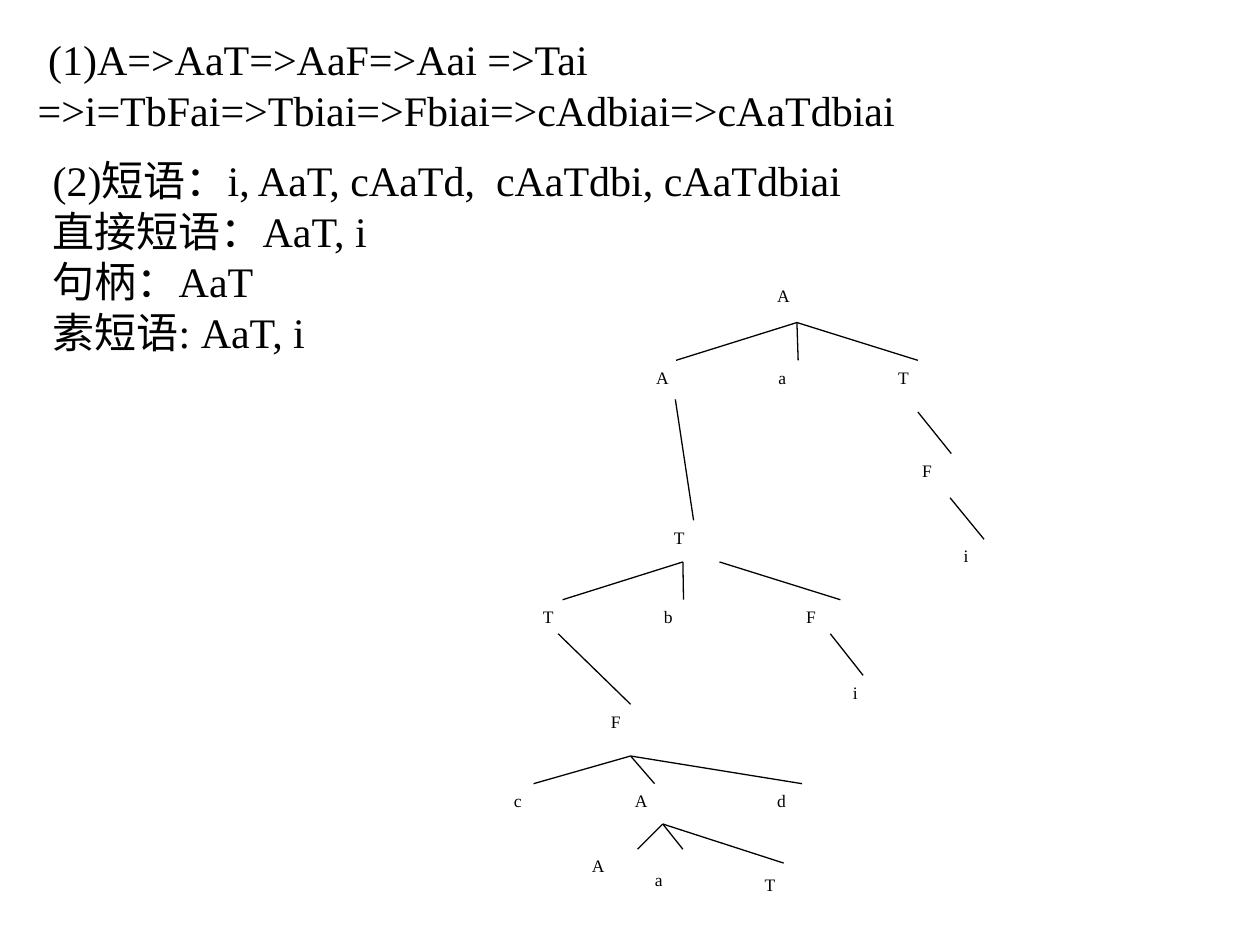
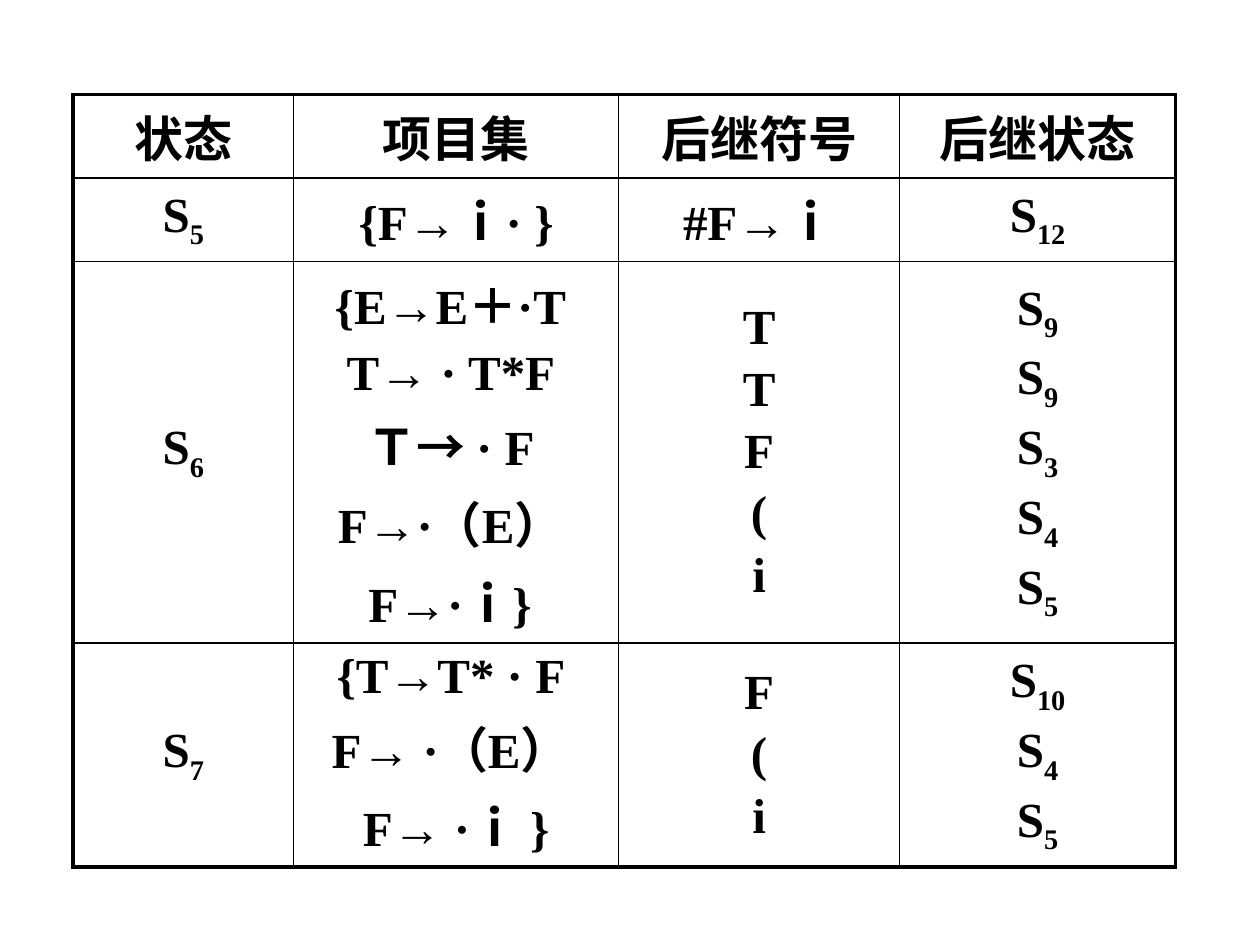
from lxml import etree
from pptx import Presentation
from pptx.dml.color import RGBColor
from pptx.enum.shapes import MSO_CONNECTOR
from pptx.enum.text import MSO_ANCHOR, PP_ALIGN
from pptx.oxml.ns import qn
from pptx.util import Inches, Pt

STRAIGHT = MSO_CONNECTOR.STRAIGHT
MIDDLE = MSO_ANCHOR.MIDDLE
CENTER = PP_ALIGN.CENTER
TOP, BOTTOM = 0, 2

FONT = "Times New Roman"
INK = "000000"
THIN, THICK = 1, 2.25


def color(hex_string):
    return RGBColor.from_string(hex_string)


class Deck:
    """Holds the shared style and the slide being filled."""

    def __init__(self):
        self.prs = Presentation()
        self.prs.slide_width = Inches(10)
        self.prs.slide_height = Inches(7.5)
        self.shapes = None

    def new_slide(self):
        self.shapes = self.prs.slides.add_slide(self.prs.slide_layouts[6]).shapes

    def style(self, paragraph, size, bold=False):
        font = paragraph.font
        font.name, font.size, font.bold = FONT, Pt(size), bold
        font.color.rgb = color(INK)

    def text(self, lines, x, y, w, h, size):
        box = self.shapes.add_textbox(Inches(x), Inches(y), Inches(w), Inches(h))
        frame = box.text_frame
        frame.word_wrap = True
        frame.text = "\n".join(lines)
        for paragraph in frame.paragraphs:
            self.style(paragraph, size)
        return box

    def symbol(self, letter, x, y, w=0.51, h=0.41):
        return self.text([letter], x, y, w, h, 10)

    def branch(self, start, *ends):
        """Draw lines from start to each end; either is a symbol or an (x, y) point."""
        for end in ends:
            line = self.shapes.add_connector(
                STRAIGHT, *self.position(start), *self.position(end))
            if not isinstance(start, tuple):
                line.begin_connect(start, BOTTOM)
            if not isinstance(end, tuple):
                line.end_connect(end, TOP)
            line.line.color.rgb = color(INK)
            line.line.width = Pt(0.75)
            etree.SubElement(line._element.spPr, qn("a:effectLst"))

    def position(self, place):
        if isinstance(place, tuple):
            return [Inches(value) for value in place]
        return place.left, place.top

    def table(self, rows, x, y, widths, heights, size):
        frame = self.shapes.add_table(
            len(rows), len(widths), Inches(x), Inches(y),
            Inches(sum(widths)), Inches(sum(heights)))
        table = frame.table
        table.first_row = table.horz_banding = False
        for column, width in zip(table.columns, widths):
            column.width = Inches(width)
        for row, height in zip(table.rows, heights):
            row.height = Inches(height)
        last_row, last_column = len(rows) - 1, len(widths) - 1
        for r, row in enumerate(rows):
            for c, lines in enumerate(row):
                cell = table.cell(r, c)
                self.fill_cell(cell, lines, size)
                outer = {"L": c == 0, "R": c == last_column,
                         "T": r == 0, "B": r == last_row}
                for side, is_outer in outer.items():
                    self.border(cell, side, THICK if is_outer else THIN)
                cell.fill.background()

    def fill_cell(self, cell, lines, size):
        """Write lines into a cell; what follows an underscore is a subscript."""
        cell.vertical_anchor = MIDDLE
        for index, line in enumerate(lines):
            if index:
                paragraph = cell.text_frame.add_paragraph()
                paragraph.space_before = Pt(4.5)
            else:
                paragraph = cell.text_frame.paragraphs[0]
            paragraph.alignment = CENTER
            self.style(paragraph, size, bold=True)
            base, _, subscript = line.partition("_")
            paragraph.add_run().text = base
            if subscript:
                run = paragraph.add_run()
                run.text = subscript
                run._r.get_or_add_rPr().set("baseline", "-25000")

    def border(self, cell, side, width):
        line = etree.SubElement(cell._tc.get_or_add_tcPr(), qn(f"a:ln{side}"),
                                w=str(Pt(width)))
        fill = etree.SubElement(line, qn("a:solidFill"))
        etree.SubElement(fill, qn("a:srgbClr"), val=INK)


def derivation_slide(deck):
    deck.new_slide()
    deck.text([" (1)A=>AaT=>AaF=>Aai =>Tai "
               "=>i=TbFai=>Tbiai=>Fbiai=>cAdbiai=>cAaTdbiai"],
              0.2, 0.22, 9.49, 0.91, 24)
    deck.text(["(2)短语：i, AaT, cAaTd,  cAaTdbi, cAaTdbiai",
               "直接短语：AaT, i",
               "句柄：AaT",
               "素短语: AaT, i"], 0.32, 1.18, 7.3, 1.72, 24)

    root = deck.symbol("A", 6.07, 2.21, h=0.35)
    left_a, mid_a, right_t = (
        deck.symbol(letter, x, 2.86)
        for letter, x in (("A", 5.11), ("a", 6.08), ("T", 7.03)))
    right_f = deck.symbol("F", 7.22, 3.6, 0.66)
    deck.symbol("i", 7.55, 4.28, 0.66)
    deck.branch(root, left_a, mid_a, right_t)
    deck.branch(right_t, right_f)
    deck.branch((7.54, 3.95), (7.81, 4.28))

    term = deck.symbol("T", 5.25, 4.13)
    inner_t = deck.symbol("T", 4.21, 4.76)
    inner_b = deck.symbol("b", 5.17, 4.76)
    inner_f = deck.symbol("F", 6.3, 4.76, 0.74)
    deck.symbol("i", 6.67, 5.36, 0.66)
    deck.branch((5.36, 3.17), term)
    deck.branch((5.42, 4.46), inner_t, inner_b)
    deck.branch((5.71, 4.46), inner_f)
    deck.branch((6.59, 5.03), (6.85, 5.36))

    factor = deck.symbol("F", 4.75, 5.59)
    open_c = deck.symbol("c", 3.98, 6.22)
    nested_a = deck.symbol("A", 4.94, 6.22)
    close_d = deck.symbol("d", 6.07, 6.22, 0.59)
    deck.branch((4.43, 5.03), factor)
    deck.branch(factor, open_c, nested_a, close_d)

    deck.symbol("A", 4.6, 6.74, 0.73)
    deck.symbol("a", 5.1, 6.85, 0.66)
    deck.symbol("T", 5.97, 6.89, 0.66)
    deck.branch((5.26, 6.54), (5.06, 6.74), (5.42, 6.74), (6.22, 6.85))


def state_table_slide(deck):
    deck.new_slide()
    states = [
        [["状态"], ["项目集"], ["后继符号"], ["后继状态"]],
        [["S_5"], ["{F→ｉ· }"], ["#F→ｉ"], ["S_12"]],
        [["S_6"],
         ["{E→E＋·T ", "T→ · T*F ", "Ｔ→ · F ", "F→·（E） ", "F→·ｉ} "],
         ["T", "T", "F", "(", "i"],
         ["S_9", "S_9", "S_3", "S_4", "S_5"]],
        [["S_7"],
         ["{T→T* · F ", "F→ ·（E） ", "F→ ·ｉ }"],
         ["F", "(", "i"],
         ["S_10", "S_4", "S_5"]],
    ]
    deck.table(states, 0.58, 0.75, [1.75, 2.58, 2.23, 2.19],
               [0.57, 0.57, 2.81, 1.69], 28)


def main():
    deck = Deck()
    derivation_slide(deck)
    state_table_slide(deck)
    deck.prs.save("out.pptx")


if __name__ == "__main__":
    main()
